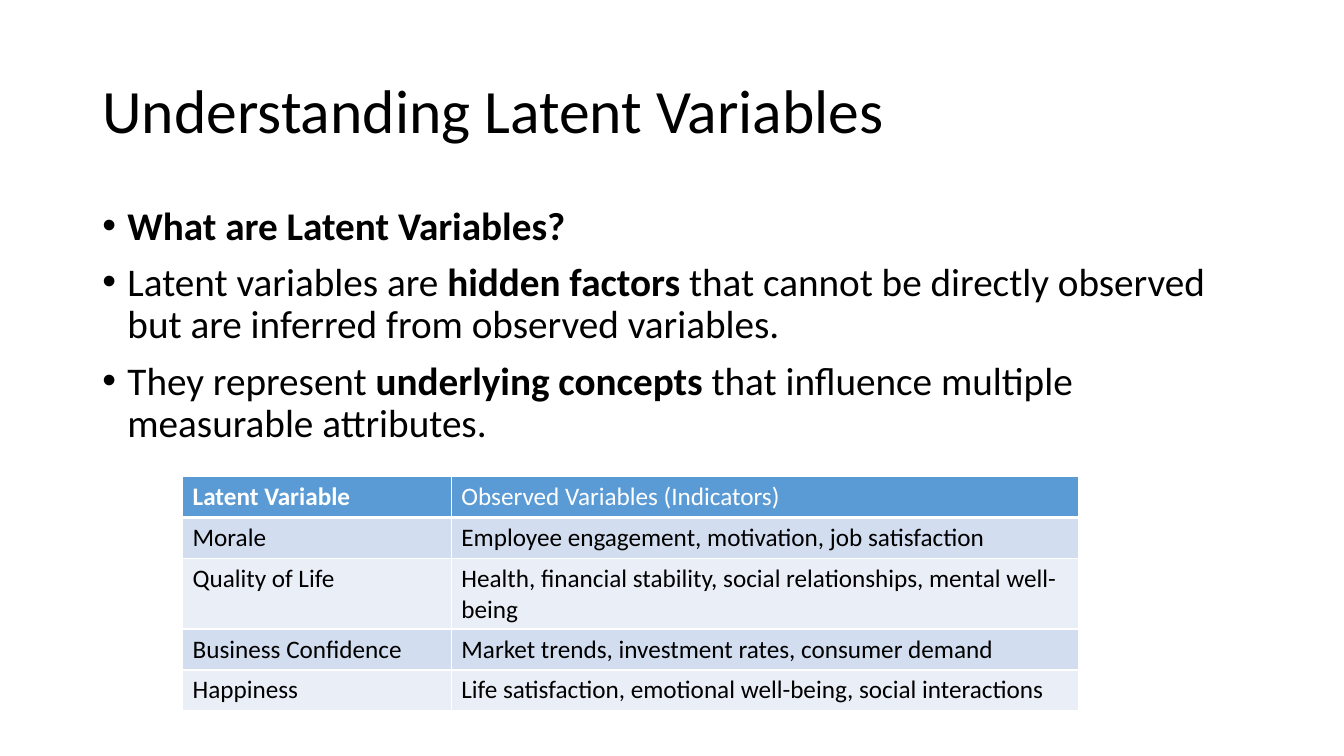
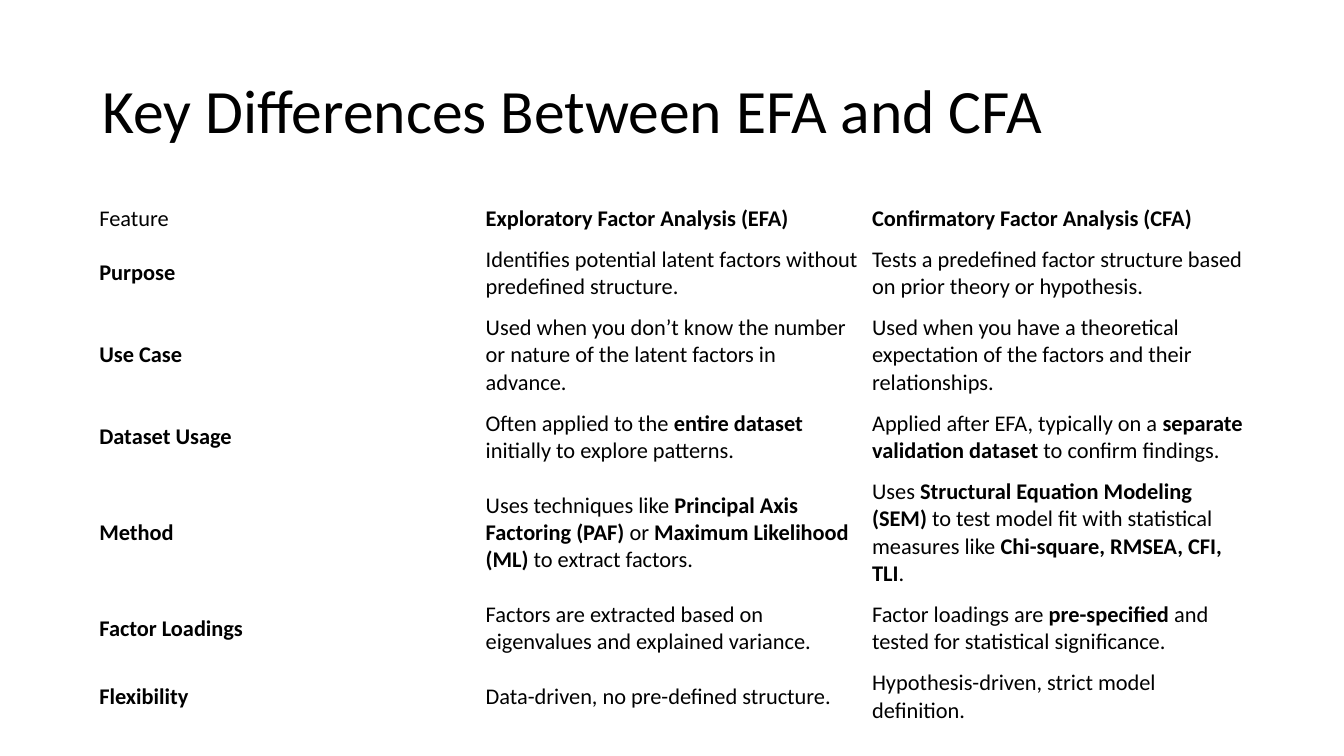
from dataclasses import dataclass

from lxml import etree
from pptx import Presentation
from pptx.dml.color import RGBColor
from pptx.enum.text import MSO_ANCHOR, MSO_AUTO_SIZE, PP_ALIGN
from pptx.oxml.ns import qn
from pptx.slide import Slide
from pptx.table import _Cell
from pptx.text.text import TextFrame, _Paragraph
from pptx.util import Pt

LEFT = PP_ALIGN.LEFT
TOP, MIDDLE = MSO_ANCHOR.TOP, MSO_ANCHOR.MIDDLE
NO_AUTOFIT = MSO_AUTO_SIZE.NONE

FONT = "Calibri"
COLORS = {
    "text": "000000",
    "white": "FFFFFF",
    "header": "5B9BD5",
    "band_dark": "D2DEEF",
    "band_light": "EAEFF7",
}
BOLD_MARK = "**"
TITLE_ONLY = 5
SLIDE_WIDTH, SLIDE_HEIGHT = 960, 540
MARGIN, CONTENT_WIDTH = 66, 828
TITLE_TOP, TITLE_HEIGHT = 28.75, 104.4
CONTENT_TOP, BODY_HEIGHT = 143.75, 342.6
BULLET_INDENT = 18


@dataclass(frozen=True)
class TableDesign:
    size: float
    margin_x: float
    margin_y: float
    anchor: MSO_ANCHOR
    banded: bool


@dataclass(frozen=True)
class TableBlock:
    left: float
    top: float
    columns: list[float]
    row_heights: list[float]
    rows: list[tuple[str, ...]]
    design: TableDesign


BANDED = TableDesign(size=18, margin_x=7.2, margin_y=3.6, anchor=TOP, banded=True)
PLAIN = TableDesign(size=16, margin_x=5, margin_y=2.5, anchor=MIDDLE, banded=False)

LATENT_POINTS = [
    "**What are Latent Variables?**",
    "Latent variables are **hidden factors** that cannot be directly observed "
    "but are inferred from observed variables.",
    "They represent **underlying concepts** that influence multiple measurable attributes.",
]

LATENT_EXAMPLES = TableBlock(
    left=130.4,
    top=340.5,
    columns=[192, 448],
    row_heights=[29.2] * 5,
    rows=[
        ("**Latent Variable**", "Observed Variables (Indicators)"),
        ("Morale", "Employee engagement, motivation, job satisfaction"),
        ("Quality of Life", "Health, financial stability, social relationships, mental well-being"),
        ("Business Confidence", "Market trends, investment rates, consumer demand"),
        ("Happiness", "Life satisfaction, emotional well-being, social interactions"),
    ],
    design=BANDED,
)

EFA_CFA = TableBlock(
    left=MARGIN,
    top=CONTENT_TOP,
    columns=[CONTENT_WIDTH / 3] * 3,
    row_heights=[21.6, 53.5, 53.5, 53.5, 70, 53.5, 37.5],
    rows=[
        ("Feature", "**Exploratory Factor Analysis (EFA)**", "**Confirmatory Factor Analysis (CFA)**"),
        (
            "**Purpose**",
            "Identifies potential latent factors without predefined structure.",
            "Tests a predefined factor structure based on prior theory or hypothesis.",
        ),
        (
            "**Use Case**",
            "Used when you don’t know the number or nature of the latent factors in advance.",
            "Used when you have a theoretical expectation of the factors and their relationships.",
        ),
        (
            "**Dataset Usage**",
            "Often applied to the **entire dataset** initially to explore patterns.",
            "Applied after EFA, typically on a **separate validation dataset** to confirm findings.",
        ),
        (
            "**Method**",
            "Uses techniques like **Principal Axis Factoring (PAF)** or "
            "**Maximum Likelihood (ML)** to extract factors.",
            "Uses **Structural Equation Modeling (SEM)** to test model fit with "
            "statistical measures like **Chi-square, RMSEA, CFI, TLI**.",
        ),
        (
            "**Factor Loadings**",
            "Factors are extracted based on eigenvalues and explained variance.",
            "Factor loadings are **pre-specified** and tested for statistical significance.",
        ),
        (
            "**Flexibility**",
            "Data-driven, no pre-defined structure.",
            "Hypothesis-driven, strict model definition.",
        ),
    ],
    design=PLAIN,
)


def add_bullet(paragraph: _Paragraph) -> None:
    properties = paragraph._p.get_or_add_pPr()
    properties.set("marL", str(Pt(BULLET_INDENT)))
    properties.set("indent", str(-Pt(BULLET_INDENT)))
    etree.SubElement(properties, qn("a:buFont"), typeface="Arial")
    etree.SubElement(properties, qn("a:buChar"), char="•")


def write_text(
    frame: TextFrame,
    lines: list[str],
    *,
    size: float,
    color: str = "text",
    line_spacing: float = 1.0,
    space_before: float = 0,
    bulleted: bool = False,
) -> None:
    """Write one paragraph per line; text between bold marks is bold."""
    frame.word_wrap = True
    for index, line in enumerate(lines):
        paragraph = frame.add_paragraph() if index else frame.paragraphs[0]
        paragraph.alignment = LEFT
        paragraph.line_spacing = line_spacing
        paragraph.space_before = Pt(space_before)
        if bulleted:
            add_bullet(paragraph)
        for part, words in enumerate(line.split(BOLD_MARK)):
            if words:
                run = paragraph.add_run()
                run.text = words
                run.font.name = FONT
                run.font.size = Pt(size)
                run.font.bold = part % 2 == 1
                run.font.color.rgb = RGBColor.from_string(COLORS[color])


def set_borders(cell: _Cell, widths: dict[str, float]) -> None:
    """Draw white borders by side; a width of zero hides the border."""
    properties = cell._tc.get_or_add_tcPr()
    for side, width in widths.items():
        border = etree.SubElement(properties, qn(f"a:ln{side}"), w=str(Pt(width)))
        if width:
            fill = etree.SubElement(border, qn("a:solidFill"))
            etree.SubElement(fill, qn("a:srgbClr"), val=COLORS["white"])
        else:
            etree.SubElement(border, qn("a:noFill"))


def style_cell(cell: _Cell, row: int, design: TableDesign) -> None:
    cell.margin_left = cell.margin_right = Pt(design.margin_x)
    cell.margin_top = cell.margin_bottom = Pt(design.margin_y)
    cell.vertical_anchor = design.anchor
    width = 1 if design.banded else 0
    header_edge = 3 * width
    set_borders(cell, {
        "L": width,
        "R": width,
        "T": header_edge if row == 1 else width,
        "B": header_edge if row == 0 else width,
    })
    if design.banded:
        band = "header" if row == 0 else "band_dark" if row % 2 else "band_light"
        cell.fill.solid()
        cell.fill.fore_color.rgb = RGBColor.from_string(COLORS[band])
    else:
        cell.fill.background()


def add_table(slide: Slide, block: TableBlock) -> None:
    table = slide.shapes.add_table(
        len(block.rows), len(block.columns), Pt(block.left), Pt(block.top),
        Pt(sum(block.columns)), Pt(sum(block.row_heights)),
    ).table
    table.first_row = table.horz_banding = False
    for column, width in zip(table.columns, block.columns):
        column.width = Pt(width)
    for row, height in zip(table.rows, block.row_heights):
        row.height = Pt(height)
    for row_index, texts in enumerate(block.rows):
        color = "white" if block.design.banded and row_index == 0 else "text"
        for column_index, text in enumerate(texts):
            cell = table.cell(row_index, column_index)
            style_cell(cell, row_index, block.design)
            write_text(cell.text_frame, [text], size=block.design.size, color=color)


def add_titled_slide(deck: Presentation, heading: str) -> Slide:
    slide = deck.slides.add_slide(deck.slide_layouts[TITLE_ONLY])
    title = slide.shapes.title
    title.left, title.top = Pt(MARGIN), Pt(TITLE_TOP)
    title.width, title.height = Pt(CONTENT_WIDTH), Pt(TITLE_HEIGHT)
    title.text_frame.auto_size = NO_AUTOFIT
    title.text_frame.vertical_anchor = MIDDLE
    write_text(title.text_frame, [heading], size=44, line_spacing=0.9)
    return slide


def add_points(slide: Slide, points: list[str]) -> None:
    body = slide.shapes.add_textbox(
        Pt(MARGIN), Pt(CONTENT_TOP), Pt(CONTENT_WIDTH), Pt(BODY_HEIGHT)
    )
    write_text(body.text_frame, points, size=28, line_spacing=0.9, space_before=10, bulleted=True)


def main() -> None:
    deck = Presentation()
    deck.slide_width, deck.slide_height = Pt(SLIDE_WIDTH), Pt(SLIDE_HEIGHT)

    latent = add_titled_slide(deck, "Understanding Latent Variables")
    add_points(latent, LATENT_POINTS)
    add_table(latent, LATENT_EXAMPLES)

    differences = add_titled_slide(deck, "Key Differences Between EFA and CFA")
    add_table(differences, EFA_CFA)

    deck.save("out.pptx")


if __name__ == "__main__":
    main()
